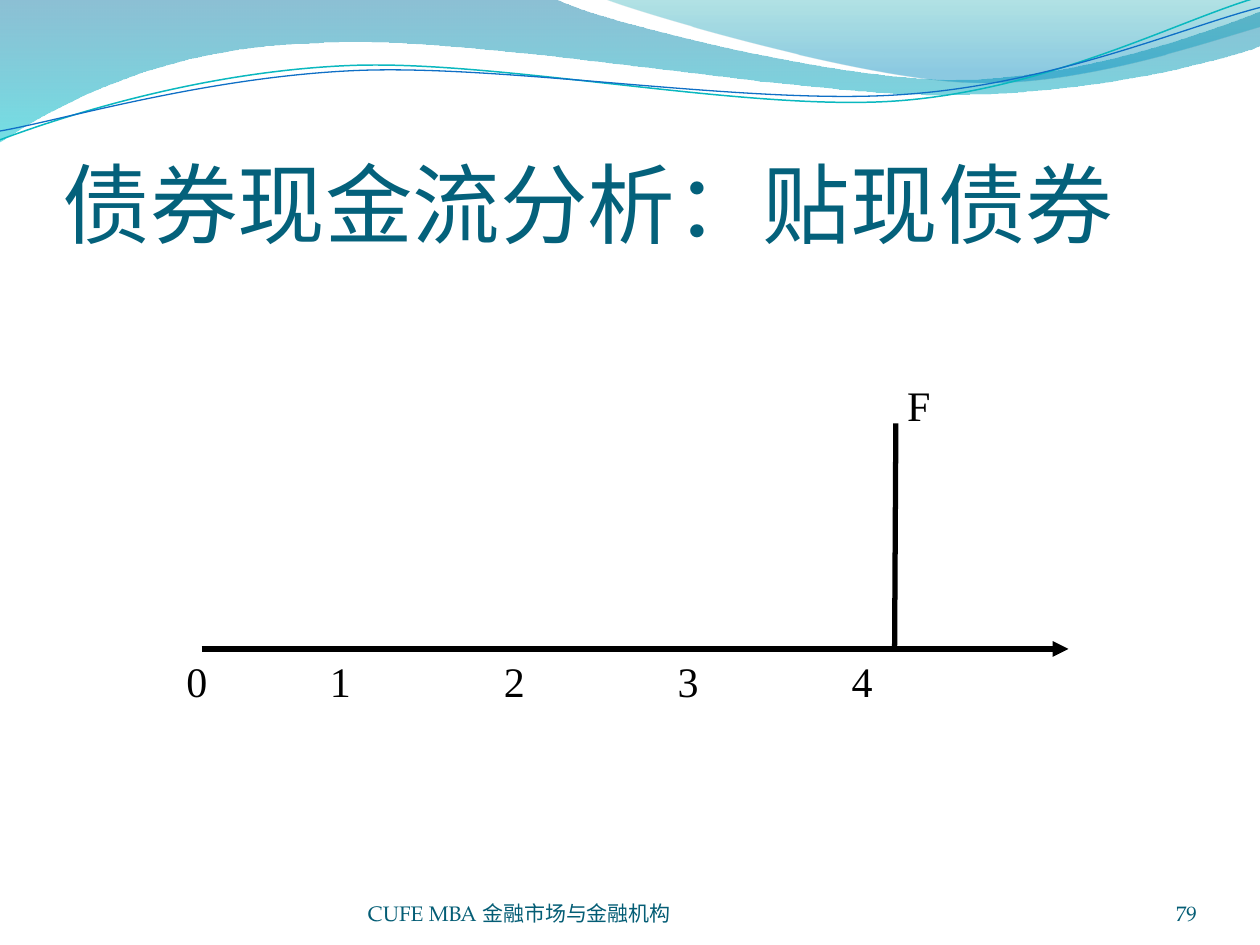
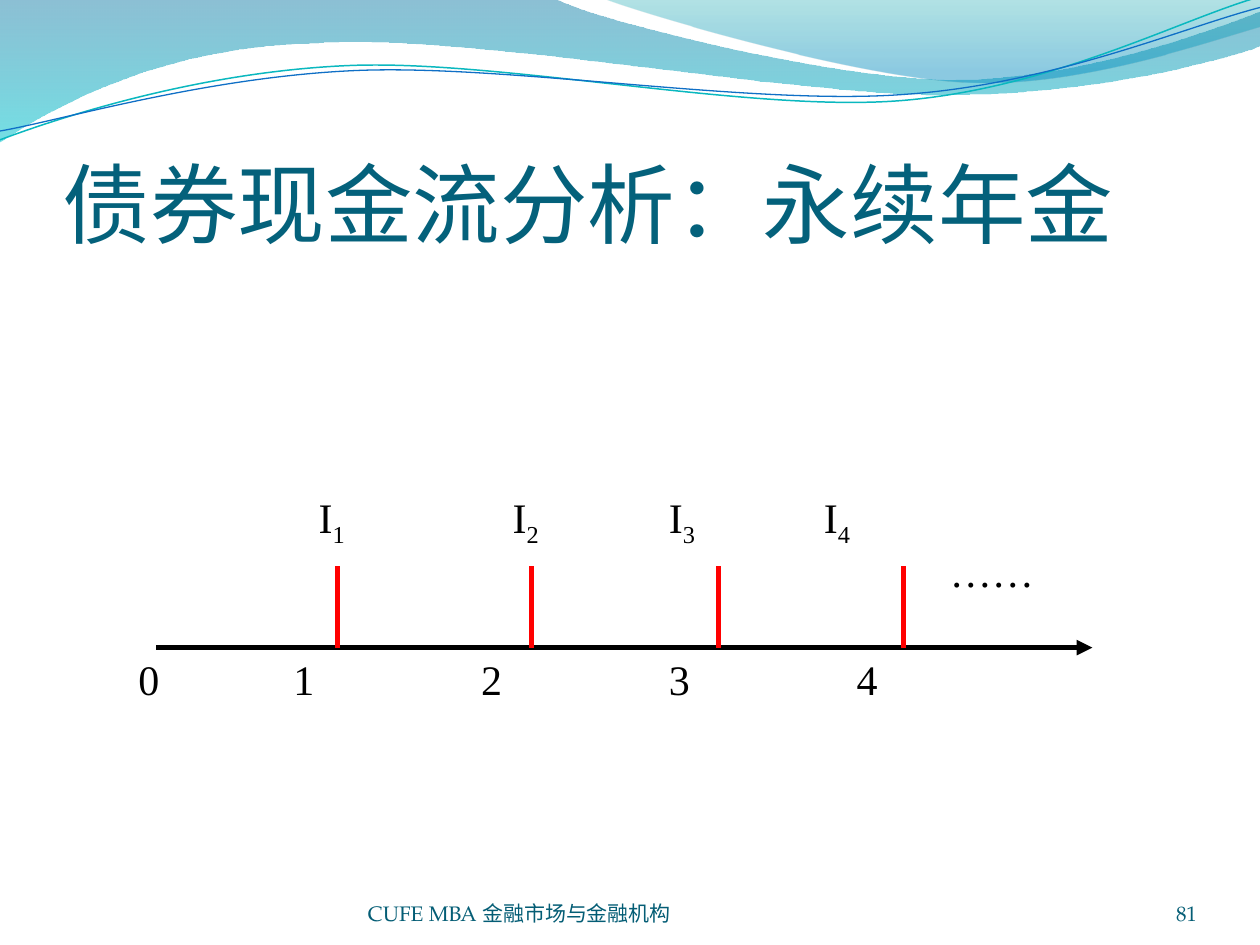
from math import cos, radians, sin

from lxml import etree
from pptx import Presentation
from pptx.dml.color import RGBColor
from pptx.enum.shapes import MSO_CONNECTOR
from pptx.enum.text import MSO_ANCHOR, PP_ALIGN
from pptx.oxml.ns import qn
from pptx.util import Inches, Pt

LINE = MSO_CONNECTOR.STRAIGHT
TOP, BOTTOM = MSO_ANCHOR.TOP, MSO_ANCHOR.BOTTOM
LEFT, RIGHT, JUSTIFY = PP_ALIGN.LEFT, PP_ALIGN.RIGHT, PP_ALIGN.JUSTIFY

BLACK = RGBColor(0x00, 0x00, 0x00)
RED = RGBColor(0xFF, 0x00, 0x00)
TITLE = RGBColor(0x04, 0x61, 0x7B)
FOOT = RGBColor(0x04, 0x5D, 0x75)
BLUE = RGBColor(0x00, 0x74, 0xA1)
CYAN = RGBColor(0x00, 0xC6, 0xCF)
TEAL = RGBColor(0x00, 0xA1, 0xA9)
SKY = RGBColor(0x00, 0x8B, 0xBF)
AQUA = RGBColor(0x0A, 0xB8, 0xBF)
ROYAL = RGBColor(0x0F, 0x6F, 0xC6)

HEAD = {"name": "Calibri", "size": Pt(50), "color": TITLE}
NOTE = {"name": "TeX Gyre Pagella", "size": Pt(12), "color": FOOT}
LABEL = {"name": "Times New Roman", "size": Pt(24), "color": BLACK}
TIGHT = (0, 0, 0, 0)
PAD = (0.1, 0.05, 0.1, 0.05)
TILT = 2.7

WAVES = [
    ([(0, 0), (4.4, -0.01),
      (4.76, 0.17, 6.64, 0.63, 7.58, 0.63), (8.53, 0.63, 9.58, 0.26, 10, 0.09),
      (10.01, 0.36),
      (9.83, 0.44, 8.7, 0.76, 7.46, 0.75), (6.22, 0.75, 3.82, 0.28, 2.57, 0.34),
      (1.29, 0.36, 0.46, 0.83, -0.01, 1.13), (0, 0)],
     [(0, BLUE, 45), (1, CYAN, 55)]),
    ([(4.79, -0.01),
      (5.09, 0.11, 6.82, 0.62, 7.69, 0.65), (8.56, 0.69, 9.61, 0.32, 10, 0.21),
      (10, 0), (4.79, -0.01)],
     [(0, TEAL, 30), (0.8, SKY, 45)]),
]
STRANDS = [
    ([(0, 1.11),
      (0.48, 0.93, 1.58, 0.57, 2.77, 0.52), (3.95, 0.47, 5.93, 0.89, 7.13, 0.8),
      (8.33, 0.71, 9.38, 0.15, 9.98, -0.02)], (4.99, 0.57), AQUA, 0.85),
    ([(0, 1.04),
      (0.47, 0.96, 1.64, 0.61, 2.83, 0.56), (4.03, 0.51, 5.97, 0.84, 7.17, 0.75),
      (8.36, 0.67, 9.41, 0.21, 10, 0.06)], (5, 0.59), ROYAL, 0.75),
]


def turn(point, pivot):
    x, y = point[0] - pivot[0], point[1] - pivot[1]
    c, s = cos(radians(TILT)), sin(radians(TILT))
    return pivot[0] + x * c - y * s, pivot[1] + x * s + y * c


def outline(holder, steps, close, pivot=None):
    points = [step[i:i + 2] for step in steps for i in range(0, len(step), 2)]
    if pivot:
        points = [turn(point, pivot) for point in points]
    points = [(Inches(x), Inches(y)) for x, y in points]
    pen = holder.shapes.build_freeform(*points[0])
    pen.add_line_segments(points[1:], close=close)
    shape = pen.convert_to_shape()
    shape.shadow.inherit = False
    parts = iter(list(shape._element.iter(qn("a:lnTo"))))
    for step in steps[1:]:
        first = next(parts)
        if len(step) == 6:
            first.tag = qn("a:cubicBezTo")
            for _ in range(2):
                other = next(parts)
                first.append(other[0])
                other.getparent().remove(other)
    return shape


def band(slide):
    for steps, stops in WAVES:
        shape = outline(slide, steps, True)
        shape.line.fill.background()
        shape.fill.gradient()
        shape.fill.gradient_angle = 270
        for stop, (place, color, _) in zip(shape.fill.gradient_stops, stops):
            stop.position = place
            stop.color.rgb = color
        tints = shape._element.spPr.iter(qn("a:srgbClr"))
        for tint, (_, _, alpha) in zip(tints, stops):
            etree.SubElement(tint, qn("a:alpha"), val=str(alpha * 1000))
    group = slide.shapes.add_group_shape()
    for steps, pivot, color, width in STRANDS:
        shape = outline(group, steps, False, pivot)
        shape.rotation = 360 - TILT
        shape.fill.background()
        shape.line.color.rgb = color
        shape.line.width = Pt(width)


def write(holder, box, text, style, align=LEFT, anchor=TOP, pad=PAD, sub=""):
    frame = holder.shapes.add_textbox(*map(Inches, box)).text_frame
    left, top, right, bottom = map(Inches, pad)
    looks = {"word_wrap": True, "vertical_anchor": anchor,
             "margin_left": left, "margin_top": top,
             "margin_right": right, "margin_bottom": bottom}
    for key, value in looks.items():
        setattr(frame, key, value)
    para = frame.paragraphs[0]
    para.alignment = align
    for part in filter(None, (text, sub)):
        run = para.add_run()
        run.text = part
        for key, value in style.items():
            if key == "color":
                run.font.color.rgb = value
            else:
                setattr(run.font, key, value)
    if sub:
        run._r.get_or_add_rPr().set("baseline", "-25000")


def rule(holder, start, end, color=BLACK, arrow=False):
    line = holder.shapes.add_connector(LINE, *map(Inches, (*start, *end)))
    line.line.color.rgb = color
    line.line.width = Pt(3)
    if arrow:
        etree.SubElement(line.line._get_or_add_ln(), qn("a:tailEnd"), type="triangle")
    etree.SubElement(line._element.spPr, qn("a:effectLst"))


def frame(deck, title, number):
    slide = deck.slides.add_slide(deck.slide_layouts[6])
    band(slide)
    write(slide, (0.5, 0.77, 9, 1.25), title, HEAD, anchor=BOTTOM, pad=(0, 0.05, 0, 0))
    write(slide, (2.92, 6.95, 3.67, 0.4), "CUFE MBA 金融市场与金融机构", NOTE,
          anchor=BOTTOM, pad=TIGHT)
    write(slide, (8.67, 6.95, 0.83, 0.4), str(number), NOTE, RIGHT, BOTTOM, TIGHT)
    return slide


def axis(holder, box, start, first, step, size):
    left, top, width, height = box
    base = top + height - size[1]
    rule(holder, (left + start, base), (left + width, base), arrow=True)
    for year in range(5):
        shift = first + step * (year - 1) if year else 0
        write(holder, (left + shift, base, *size), str(year), LABEL, JUSTIFY)
    return base


def zero(slide, box):
    left, top, _, _ = box
    group = slide.shapes.add_group_shape()
    base = axis(group, box, 0.22, 1.14, 1.38, (0.69, 0.6))
    rule(group, (left + 5.72, base), (left + 5.73, top + 0.4))
    write(group, (left + 5.72, top, 0.92, 0.6), "F", LABEL, JUSTIFY)


def perpet(slide, box):
    left, top, _, _ = box
    size = (0.74, 0.64)
    group = slide.shapes.add_group_shape()
    base = axis(group, box, 0.24, 1.23, 1.49, size)
    pairs = zip((1.68, 3.22, 4.7, 6.17), (1.43, 2.97, 4.21, 5.44))
    for year, (tick, label) in enumerate(pairs, 1):
        rule(group, (left + tick, base), (left + tick, base - 0.65), RED)
        write(group, (left + label, top, *size), "I", LABEL, JUSTIFY, sub=str(year))
    write(group, (left + 6.44, top + 0.43, 0.99, 0.64), "……", LABEL, JUSTIFY)


def main():
    deck = Presentation()
    deck.slide_width, deck.slide_height = Inches(10), Inches(7.5)
    zero(frame(deck, "债券现金流分析：贴现债券", 79), (1.38, 2.96, 7.1, 2.79))
    perpet(frame(deck, "债券现金流分析：永续年金", 81), (1, 3.85, 7.67, 1.93))
    deck.save("out.pptx")


if __name__ == "__main__":
    main()
